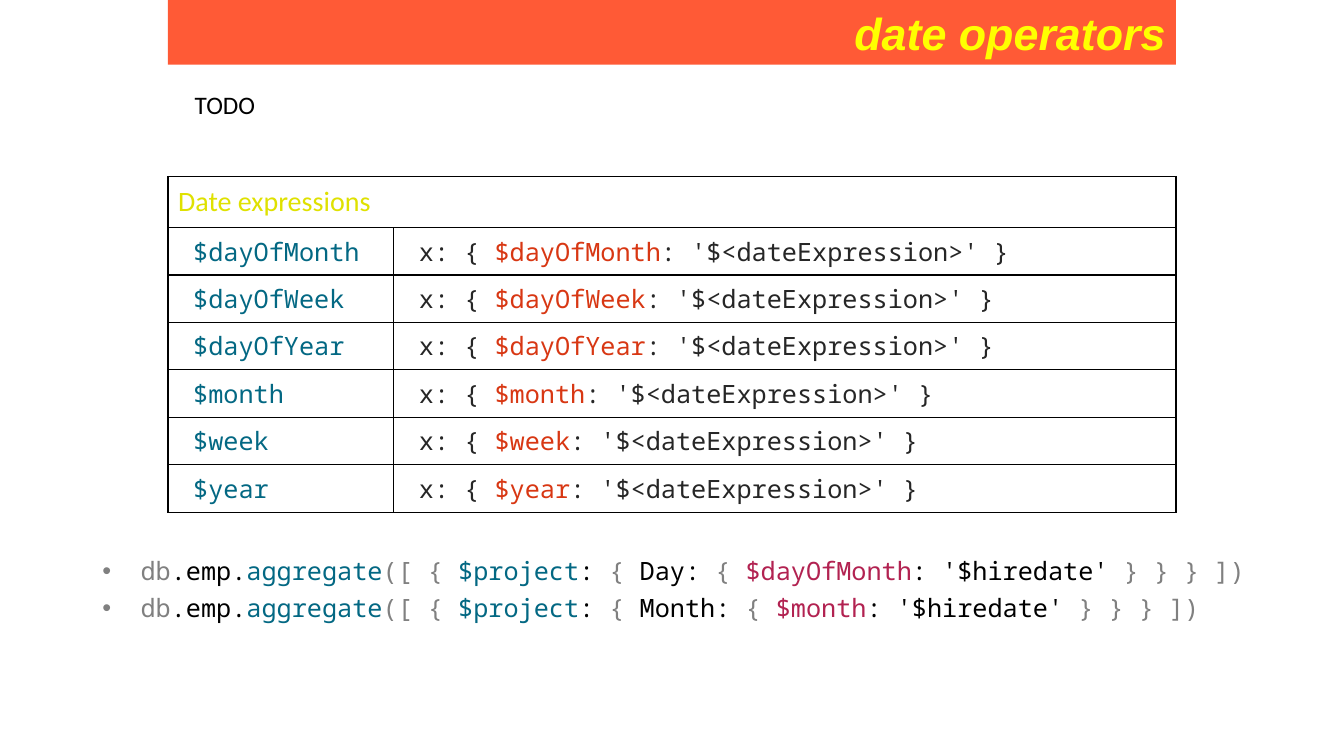
from dataclasses import dataclass

from lxml import etree
from pptx import Presentation
from pptx.dml.color import RGBColor
from pptx.enum.shapes import MSO_SHAPE
from pptx.enum.text import MSO_ANCHOR, PP_ALIGN
from pptx.oxml.ns import qn
from pptx.util import Inches, Pt

RECTANGLE = MSO_SHAPE.RECTANGLE
MIDDLE = MSO_ANCHOR.MIDDLE
RIGHT = PP_ALIGN.RIGHT

ORANGE = RGBColor(0xFF, 0x5A, 0x36)
YELLOW = RGBColor(0xFF, 0xFF, 0x00)
LIME = RGBColor(0xDF, 0xE1, 0x00)
BLACK = RGBColor(0x00, 0x00, 0x00)
CHARCOAL = RGBColor(0x26, 0x26, 0x26)
GREY = RGBColor(0x80, 0x80, 0x80)
TEAL = RGBColor(0x03, 0x68, 0x83)
RED = RGBColor(0xD8, 0x37, 0x13)
CRIMSON = RGBColor(0xB2, 0x22, 0x51)

SANS = "Calibri"
MONO = "Noto Sans Mono"

# Grid: 40 columns by 90 rows
SLIDE_WIDTH, SLIDE_HEIGHT = Inches(13.33), Inches(7.5)
COLUMN, ROW = SLIDE_WIDTH / 40, SLIDE_HEIGHT / 90


@dataclass
class Area:
    """Place on the grid, in columns and rows."""
    left: float
    top: float
    width: float
    height: float

    def lengths(self) -> tuple[int, ...]:
        units = (COLUMN, ROW, COLUMN, ROW)
        sides = (self.left, self.top, self.width, self.height)
        return tuple(int(side * unit) for side, unit in zip(sides, units))


@dataclass
class Span:
    text: str
    color: RGBColor
    font: str = MONO
    size: float = 18


@dataclass
class Query:
    label: str
    operator: str

    def spans(self) -> list[Span]:
        return [
            Span("db", GREY), Span(".emp.", BLACK), Span("aggregate", TEAL),
            Span("([ { ", GREY), Span("$project", TEAL), Span(": ", BLACK),
            Span("{", GREY), Span(f" {self.label}: ", BLACK), Span("{ ", GREY),
            Span(self.operator, CRIMSON), Span(": '$hiredate' ", BLACK),
            Span("} } } ])", GREY),
        ]


TITLE = Area(5, 0, 30, 7.7)
NOTE = Area(5.5, 10, 29, 4.8)
TABLE = Area(5, 21, 30, 40)
QUERY_BOX = Area(2.75, 65.5, 34.95, 9.7)
NAME_COLUMNS = 6.72
HEADER_ROWS = 6.1

OPERATORS = ["$dayOfMonth", "$dayOfWeek", "$dayOfYear", "$month", "$week", "$year"]
QUERIES = [Query("Day", "$dayOfMonth"), Query("Month", "$month")]


def add_spans(para, spans: list[Span]) -> None:
    for span in spans:
        run = para.add_run()
        run.text = span.text
        run.font.name = span.font
        run.font.size = Pt(span.size)
        run.font.color.rgb = span.color


def add_text_box(page, area: Area):
    frame = page.shapes.add_textbox(*area.lengths()).text_frame
    frame.word_wrap = True
    return frame


def add_title(page) -> None:
    bar = page.shapes.add_shape(RECTANGLE, *TITLE.lengths())
    bar.shadow.inherit = False
    bar.fill.solid()
    bar.fill.fore_color.rgb = ORANGE
    bar.line.fill.background()
    bar.text_frame.vertical_anchor = MIDDLE
    para = bar.text_frame.paragraphs[0]
    para.alignment = RIGHT
    add_spans(para, [Span("date operators", YELLOW, "Arial", 32)])
    para.runs[0].font.bold = para.runs[0].font.italic = True


def set_bullet(para) -> None:
    properties = para._p.get_or_add_pPr()
    properties.set("marL", str(Inches(0.38)))
    properties.set("indent", str(-Inches(0.38)))
    etree.SubElement(properties, qn("a:buFont"), typeface="Arial")
    etree.SubElement(properties, qn("a:buChar"), char="•")


def style_cell(cell) -> None:
    cell.vertical_anchor = MIDDLE
    properties = cell._tc.get_or_add_tcPr()
    for side in ("lnL", "lnR", "lnT", "lnB"):
        border = etree.SubElement(properties, qn(f"a:{side}"), w=str(Pt(1)))
        fill = etree.SubElement(border, qn("a:solidFill"))
        etree.SubElement(fill, qn("a:srgbClr"), val=str(BLACK))
    cell.fill.background()


def fill_cell(cell, spans: list[Span]) -> None:
    cell.margin_left = Inches(0.25)
    add_spans(cell.text_frame.paragraphs[0], spans)


def add_operator_table(page) -> None:
    table = page.shapes.add_table(len(OPERATORS) + 1, 2, *TABLE.lengths()).table
    table.first_row = table.horz_banding = False
    table.columns[0].width = int(NAME_COLUMNS * COLUMN)
    table.columns[1].width = int((TABLE.width - NAME_COLUMNS) * COLUMN)
    body_rows = (TABLE.height - HEADER_ROWS) / len(OPERATORS)
    for index, row in enumerate(table.rows):
        row.height = int((body_rows if index else HEADER_ROWS) * ROW)
    for cell in table.iter_cells():
        style_cell(cell)

    # Heading across both columns
    heading = table.cell(0, 0)
    heading.merge(table.cell(0, 1))
    add_spans(heading.text_frame.paragraphs[0], [Span("Date expressions", LIME, SANS, 20)])

    # One row per operator
    for index, operator in enumerate(OPERATORS, start=1):
        fill_cell(table.cell(index, 0), [Span(operator, TEAL)])
        fill_cell(table.cell(index, 1), [
            Span("x: { ", CHARCOAL),
            Span(operator, RED),
            Span(": '$<dateExpression>' }", CHARCOAL),
        ])


def add_queries(page) -> None:
    frame = add_text_box(page, QUERY_BOX)
    for index, query in enumerate(QUERIES):
        para = frame.add_paragraph() if index else frame.paragraphs[0]
        para.space_before = Pt(5 if index else 0)
        set_bullet(para)
        add_spans(para, query.spans())


def main() -> None:
    deck = Presentation()
    deck.slide_width, deck.slide_height = SLIDE_WIDTH, SLIDE_HEIGHT
    page = deck.slides.add_slide(deck.slide_layouts[6])
    add_title(page)
    add_spans(add_text_box(page, NOTE).paragraphs[0], [Span("TODO", BLACK, SANS)])
    add_operator_table(page)
    add_queries(page)
    deck.save("out.pptx")


if __name__ == "__main__":
    main()
